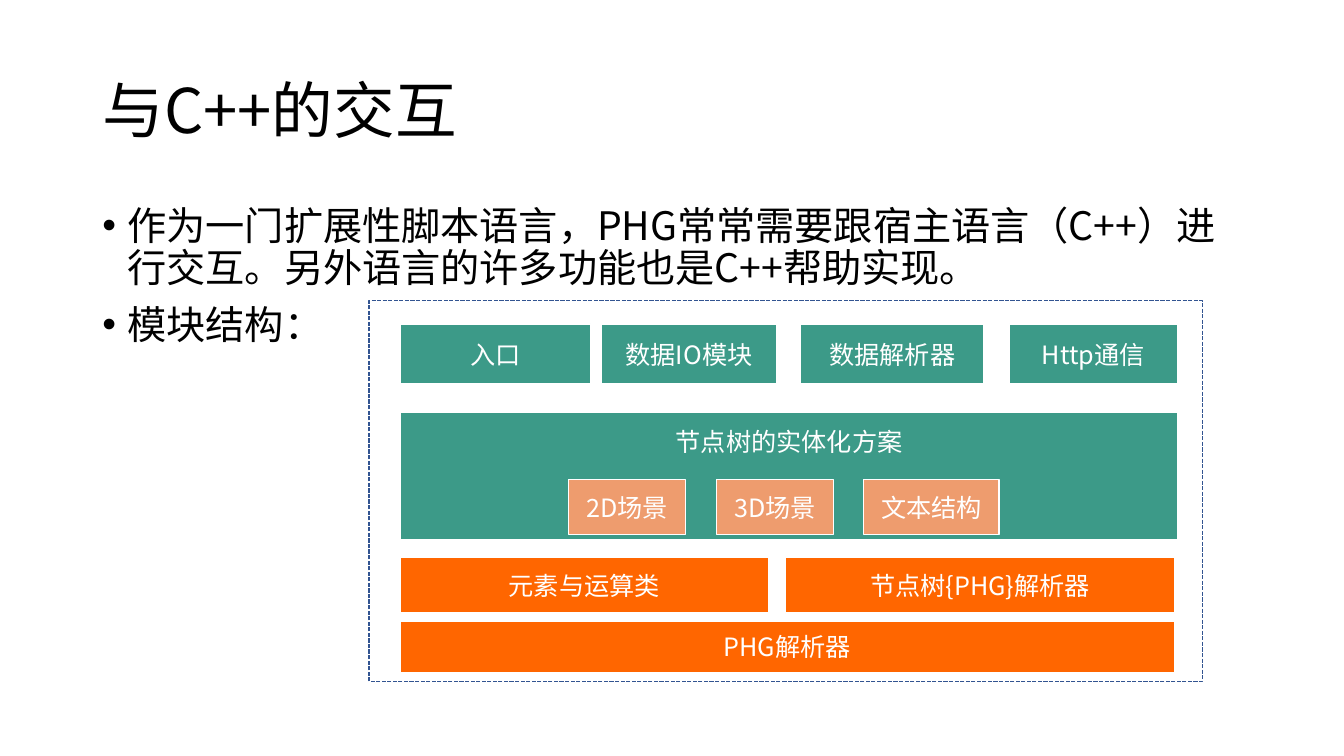
from pptx import Presentation
from pptx.dml.color import RGBColor
from pptx.enum.dml import MSO_LINE
from pptx.enum.shapes import MSO_SHAPE as Preset
from pptx.enum.text import MSO_ANCHOR as Anchor, PP_ALIGN as Align
from pptx.oxml.xmlchemy import OxmlElement
from pptx.util import Pt

FONT = "Noto Sans CJK SC"
BLACK, WHITE, NAVY = "000000", "FFFFFF", "325491"
GREEN, PEACH, ORANGE = "3C9A88", "EE9C6E", "FF6600"

TITLE = "与C++的交互"
BULLETS = [
    "作为一门扩展性脚本语言，PHG常常需要跟宿主语言（C++）进行交互。另外语言的许多功能也是C++帮助实现。",
    "模块结构：",
]
FRAME = (263.7, 214.6, 595.2, 272.2)
MODULE_ROWS = [
    (231.3, 43, GREEN, [("入口", 285.9, 136), ("数据IO模块", 429.8, 124.7),
                        ("数据解析器", 571.8, 131), ("Http通信", 721, 120)]),
    (294.7, 90.5, GREEN, [("节点树的实体化方案", 285.9, 555.6)]),
    (342.7, 39, PEACH, [("2D场景", 406, 83.6), ("3D场景", 511.8, 83.6),
                        ("文本结构", 617, 96.7)]),
    (397.8, 40.2, ORANGE, [("元素与运算类", 285.9, 263), ("节点树{PHG}解析器", 561, 278)]),
    (443.7, 36.5, ORANGE, [("PHG解析器", 285.9, 553)]),
]
PANEL = "节点树的实体化方案"


def color(value):
    return RGBColor.from_string(value)


def style(paragraph, size, font_color):
    font = paragraph.font
    font.name, font.size = FONT, Pt(size)
    font.color.rgb = color(font_color)
    east_asian = OxmlElement("a:ea")
    east_asian.set("typeface", FONT)
    font._element.find("{*}latin").addnext(east_asian)


def add_rectangle(left, top, width, height, line_color):
    shape = slide.shapes.add_shape(Preset.RECTANGLE, Pt(left), Pt(top), Pt(width), Pt(height))
    shape.shadow.inherit = False
    shape.line.color.rgb = color(line_color)
    shape.line.width = Pt(1)
    return shape


def add_bullet(paragraph):
    properties = paragraph._p.get_or_add_pPr()
    properties.set("marL", str(Pt(18)))
    properties.set("indent", str(-Pt(18)))
    bullet_font = OxmlElement("a:buFont")
    bullet_font.set("typeface", "Arial")
    bullet = OxmlElement("a:buChar")
    bullet.set("char", "•")
    properties.find("{*}defRPr").addprevious(bullet_font)
    bullet_font.addnext(bullet)


presentation = Presentation()
presentation.slide_width, presentation.slide_height = Pt(960), Pt(540)
slide = presentation.slides.add_slide(presentation.slide_layouts[5])

title = slide.shapes.title
title.left, title.top, title.width, title.height = Pt(66), Pt(28.8), Pt(828), Pt(104.4)
title.text_frame.text = TITLE
title.text_frame.vertical_anchor = Anchor.MIDDLE
heading = title.text_frame.paragraphs[0]
heading.alignment, heading.line_spacing = Align.LEFT, 0.9
style(heading, 44, BLACK)

body = slide.shapes.add_textbox(Pt(66), Pt(144), Pt(828), Pt(342.7)).text_frame
body.word_wrap = True
body.text = "\n".join(BULLETS)
for paragraph in body.paragraphs:
    paragraph.line_spacing, paragraph.space_before = 0.9, Pt(10)
    style(paragraph, 28, BLACK)
    add_bullet(paragraph)

frame = add_rectangle(*FRAME, NAVY)
frame.fill.background()
frame.line.dash_style = MSO_LINE.SQUARE_DOT

for top, height, fill, modules in MODULE_ROWS:
    for label, left, width in modules:
        module = add_rectangle(left, top, width, height, WHITE)
        module.fill.solid()
        module.fill.fore_color.rgb = color(fill)
        text_frame = module.text_frame
        text_frame.text = label
        text_frame.word_wrap = True
        text_frame.vertical_anchor = Anchor.MIDDLE
        if label == PANEL:
            text_frame.vertical_anchor = Anchor.TOP
            text_frame.margin_top = Pt(10)
        text_frame.paragraphs[0].alignment = Align.CENTER
        style(text_frame.paragraphs[0], 18, WHITE)

presentation.save("out.pptx")
